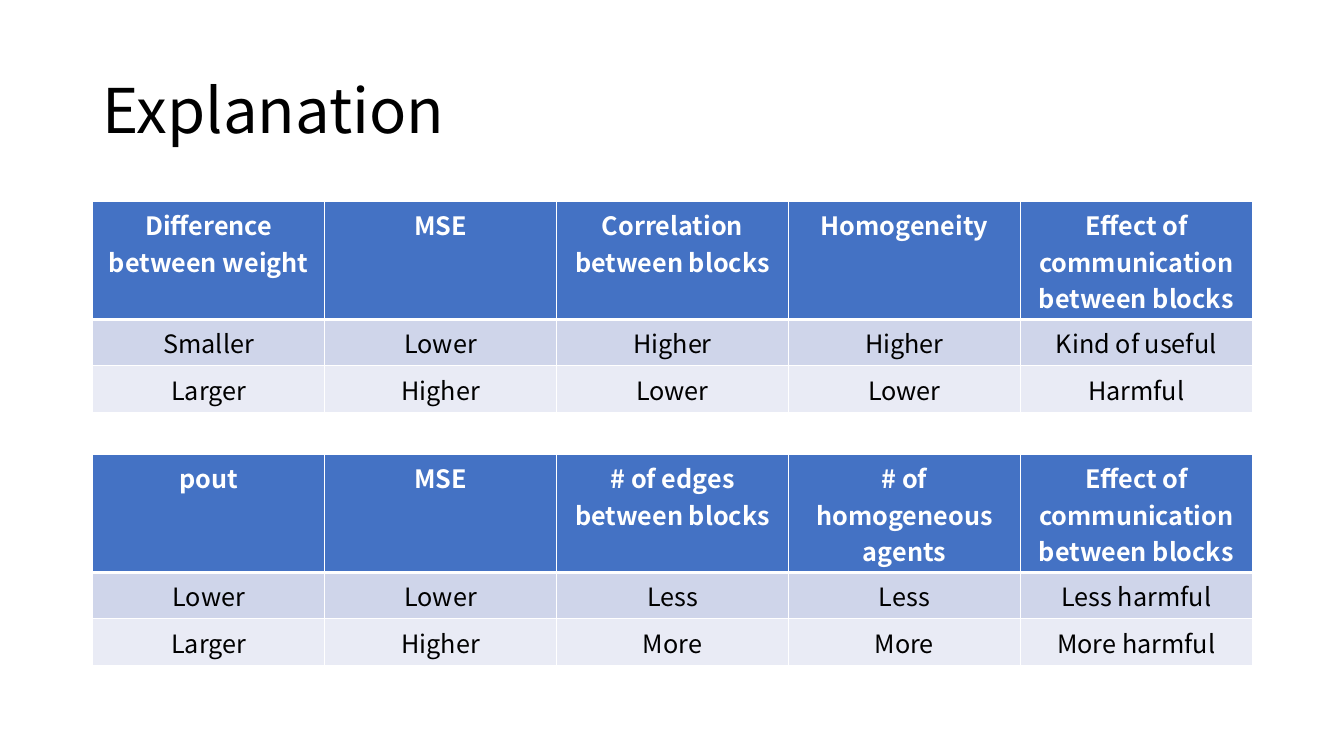
from dataclasses import dataclass

from lxml import etree
from pptx import Presentation
from pptx.dml.color import RGBColor
from pptx.enum.text import MSO_ANCHOR, PP_ALIGN
from pptx.oxml.ns import qn
from pptx.util import Inches, Pt


@dataclass(frozen=True)
class Theme:
    font: str = "Noto Sans CJK SC"
    title_size: int = 44
    cell_size: int = 18
    ink: str = "000000"
    white: str = "FFFFFF"
    header: str = "4472C4"
    bands: tuple = ("CFD5EA", "E9EBF5")
    rule: int = 1
    header_rule: int = 3


class SlideBuilder:
    def __init__(self, slide, theme):
        self.slide = slide
        self.theme = theme

    def add_text(self, frame, text, size, color, bold=False):
        paragraph = frame.paragraphs[0]
        run = paragraph.add_run()
        run.text = text
        run.font.name = self.theme.font
        run.font.size = Pt(size)
        run.font.bold = bold
        run.font.color.rgb = RGBColor.from_string(color)
        return paragraph

    def title(self, text, left, top, width, height):
        box = self.slide.shapes.add_textbox(
            Inches(left), Inches(top), Inches(width), Inches(height))
        frame = box.text_frame
        frame.word_wrap = True
        frame.vertical_anchor = MSO_ANCHOR.MIDDLE
        paragraph = self.add_text(
            frame, text, self.theme.title_size, self.theme.ink)
        paragraph.line_spacing = 0.9

    def borders(self, cell, bottom, top):
        widths = {"a:lnL": self.theme.rule, "a:lnR": self.theme.rule,
                  "a:lnT": top, "a:lnB": bottom}
        properties = cell._tc.get_or_add_tcPr()
        for tag, width in widths.items():
            line = etree.SubElement(properties, qn(tag), w=str(Pt(width)))
            fill = etree.SubElement(line, qn("a:solidFill"))
            etree.SubElement(fill, qn("a:srgbClr"), val=self.theme.white)

    def table(self, rows, left, top, width, heights):
        theme = self.theme
        columns = len(rows[0])
        table = self.slide.shapes.add_table(
            len(rows), columns, Inches(left), Inches(top),
            Inches(width), Inches(sum(heights))).table
        for column in table.columns:
            column.width = Inches(width / columns)
        for r, texts in enumerate(rows):
            table.rows[r].height = Inches(heights[r])
            is_header = r == 0
            fill = theme.header if is_header else theme.bands[(r - 1) % 2]
            color = theme.white if is_header else theme.ink
            bottom = theme.header_rule if is_header else theme.rule
            top_rule = theme.header_rule if r == 1 else theme.rule
            for c, text in enumerate(texts):
                cell = table.cell(r, c)
                self.borders(cell, bottom, top_rule)
                cell.fill.solid()
                cell.fill.fore_color.rgb = RGBColor.from_string(fill)
                paragraph = self.add_text(
                    cell.text_frame, text, theme.cell_size, color, is_header)
                paragraph.alignment = PP_ALIGN.CENTER


LEFT, WIDTH = 0.92, 11.5
ROW_HEIGHTS = (1.17, 0.46, 0.46)
EFFECT = "Effect of communication between blocks"

WEIGHT_ROWS = (
    ("Difference between weight", "MSE", "Correlation between blocks",
     "Homogeneity", EFFECT),
    ("Smaller", "Lower", "Higher", "Higher", "Kind of useful"),
    ("Larger", "Higher", "Lower", "Lower", "Harmful"),
)
POUT_ROWS = (
    ("pout", "MSE", "# of edges between blocks",
     "# of homogeneous agents", EFFECT),
    ("Lower", "Lower", "Less", "Less", "Less harmful"),
    ("Larger", "Higher", "More", "More", "More harmful"),
)

presentation = Presentation()
presentation.slide_width = Inches(13.33)
presentation.slide_height = Inches(7.5)
blank = presentation.slide_layouts[6]
builder = SlideBuilder(presentation.slides.add_slide(blank), Theme())

# Title
builder.title("Explanation", LEFT, 0.4, WIDTH, 1.45)

# Effect of the weight difference, then of pout
for top, rows in ((2, WEIGHT_ROWS), (4.51, POUT_ROWS)):
    builder.table(rows, LEFT, top, WIDTH, ROW_HEIGHTS)

presentation.save("out.pptx")
